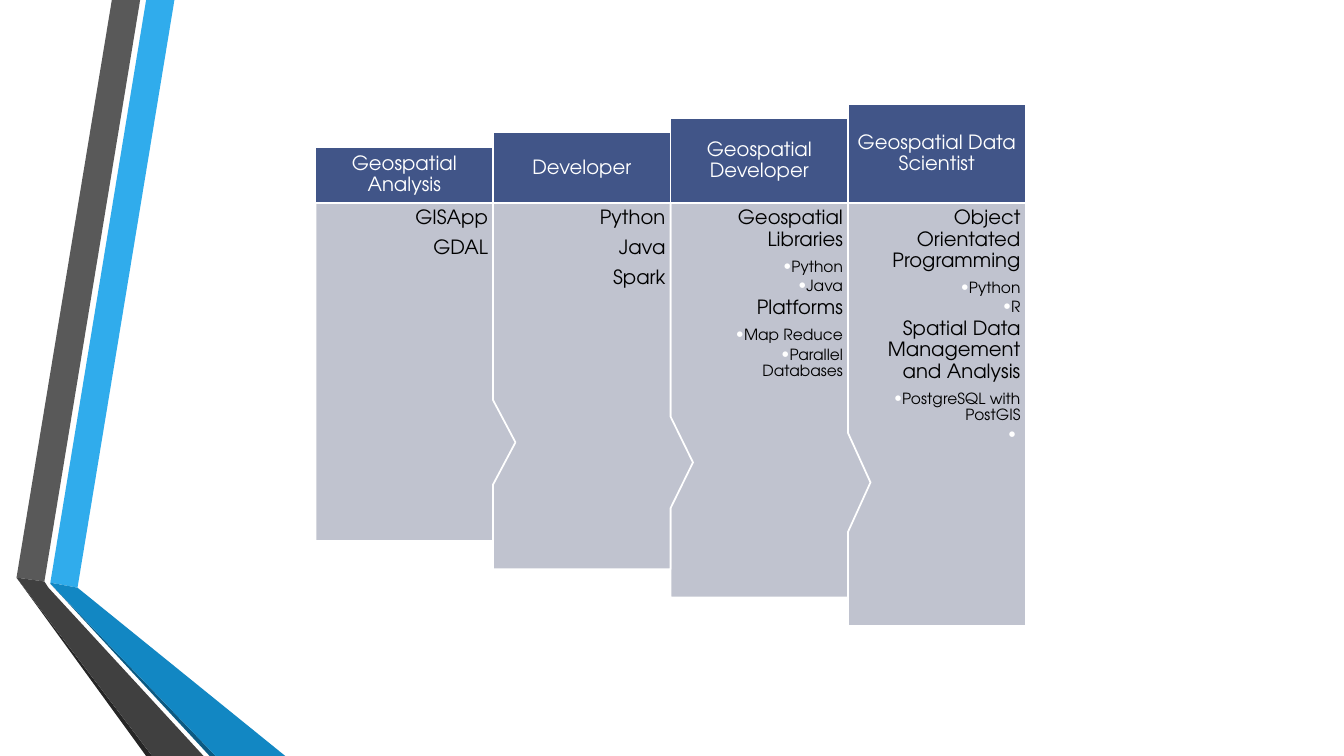
from dataclasses import dataclass

from lxml import etree
from pptx import Presentation
from pptx.dml.color import RGBColor as RGB
from pptx.enum.text import MSO_ANCHOR as Anchor, PP_ALIGN as Align
from pptx.oxml.ns import qn
from pptx.util import Pt


@dataclass(frozen=True)
class Theme:
    font: str = "TeX Gyre Adventor"
    white: str = "FFFFFF"
    black: str = "000000"
    header: str = "415588"
    body: str = "C0C3CF"
    sky: str = "30ACEC"
    blue: str = "1287C3"
    deep_blue: str = "0C5A82"
    grey: str = "595959"
    dark_grey: str = "404040"
    charcoal: str = "262626"
    main_size: float = 14
    sub_size: float = 11
    outline: float = 1.25


THEME = Theme()

# Each entry is (heading, sub-items)
STAGES = [
    ("Geospatial Analysis", [("GISApp", []), ("GDAL", [])]),
    ("Developer", [("Python", []), ("Java", []), ("Spark", [])]),
    ("Geospatial Developer", [
        ("Geospatial Libraries", ["Python", "Java"]),
        ("Platforms", ["Map Reduce", "Parallel Databases"]),
    ]),
    ("Geospatial Data Scientist", [
        ("Object Orientated Programming", ["Python", "R"]),
        ("Spatial Data Management and Analysis",
         ["PostgreSQL with PostGIS", " "]),
    ]),
]

RIBBONS = [
    (THEME.sky, [(36, 416.2), (55.4, 419.8), (124.6, 0), (104.4, 0)]),
    (THEME.grey, [(100.1, 0), (79.9, 0), (11.8, 412.6), (31.7, 415.4)]),
    (THEME.charcoal, [(11.8, 412.6), (104.4, 540), (108.7, 540)]),
    (THEME.deep_blue, [(36, 416.9), (149.8, 540), (154.1, 540)]),
    (THEME.blue, [(36, 416.2), (36, 416.9), (154.1, 540), (203.8, 540),
                  (55.4, 419.8)]),
    (THEME.dark_grey, [(145.4, 540), (34.6, 419.8), (31.7, 415.4),
                       (11.8, 412.6), (108.7, 540)]),
]


def add_outline(slide, points, fill, line=None):
    """Draw a closed polygon through points."""
    start, *rest = [(Pt(x), Pt(y)) for x, y in points]
    builder = slide.shapes.build_freeform(*start)
    builder.add_line_segments(rest, close=True)
    sp = builder.convert_to_shape()
    sp.shadow.inherit = False
    sp.fill.solid()
    sp.fill.fore_color.rgb = RGB.from_string(fill)
    if line:
        sp.line.color.rgb = RGB.from_string(line)
        sp.line.width = Pt(THEME.outline)
    else:
        sp.line.fill.background()
    return sp


def set_frame(tf, anchor, left=3.6, right=3.6):
    tf.word_wrap = True
    tf.vertical_anchor = anchor
    tf.margin_left, tf.margin_right = Pt(left), Pt(right)
    tf.margin_top = tf.margin_bottom = Pt(3.6)


def add_bullet(p):
    pPr = p._p.get_or_add_pPr()
    pPr.set("marL", str(Pt(4.5)))
    pPr.set("indent", str(-Pt(4.5)))
    color = etree.SubElement(pPr, qn("a:buClr"))
    etree.SubElement(color, qn("a:srgbClr"), val=THEME.white)
    etree.SubElement(pPr, qn("a:buFont"), typeface=THEME.font)
    etree.SubElement(pPr, qn("a:buChar"), char="•")


def add_text(tf, text, *, size=THEME.main_size, color=THEME.black,
             align=Align.RIGHT, after=6, bullet=False):
    p = tf.add_paragraph() if tf.text else tf.paragraphs[0]
    p.alignment = align
    p.line_spacing = 0.9
    p.space_after = Pt(after)
    if bullet:
        p.level = 1
        add_bullet(p)
    r = p.add_run()
    r.text = text
    r.font.name = THEME.font
    r.font.size = Pt(size)
    r.font.color.rgb = RGB.from_string(color)


def draw_ribbons(slide, x, y):
    for fill, points in RIBBONS:
        add_outline(slide, [(x + px, y + py) for px, py in points], fill)


def draw_body(slide, x, y, w, h, entries, tip):
    """Draw a panel whose right side points to the next one by tip."""
    right, bottom = x + w, y + h
    points = [(x, y), (right, y)]
    if tip:
        points += [(right, y + h * 7 / 12), (right + tip, y + h * 17 / 24),
                   (right, y + h * 10 / 12)]
    points += [(right, bottom), (x, bottom)]
    tf = add_outline(slide, points, THEME.body, THEME.white).text_frame
    set_frame(tf, Anchor.TOP, left=19.2, right=3.6 + tip)
    for heading, items in entries:
        add_text(tf, heading)
        for item in items:
            add_text(tf, item, size=THEME.sub_size, after=2, bullet=True,
                     color=THEME.black if item.strip() else THEME.white)


def draw_header(slide, x, y, w, h, title):
    corners = [(x, y), (x + w, y), (x + w, y + h), (x, y + h)]
    tf = add_outline(slide, corners, THEME.header, THEME.white).text_frame
    set_frame(tf, Anchor.MIDDLE)
    add_text(tf, title, color=THEME.white, align=Align.CENTER)


def draw_stages(slide, x, y, w):
    """Draw the growing columns in width w, with headers resting on y."""
    column = w / len(STAGES)
    last = len(STAGES) - 1
    for i, (title, entries) in reversed(list(enumerate(STAGES))):
        left = x + i * column
        header = 40.2 + 10.1 * i
        draw_body(slide, left, y, column, 241.4 + 20.2 * i, entries,
                  tip=16 if i < last else 0)
        draw_header(slide, left, y - header, column, header, title)


def main():
    prs = Presentation()
    prs.slide_width, prs.slide_height = Pt(960), Pt(540)
    slide = prs.slides.add_slide(prs.slide_layouts[6])
    draw_ribbons(slide, 0, 0)
    draw_stages(slide, 225.4, 145, 507.2)
    prs.save("out.pptx")


if __name__ == "__main__":
    main()
